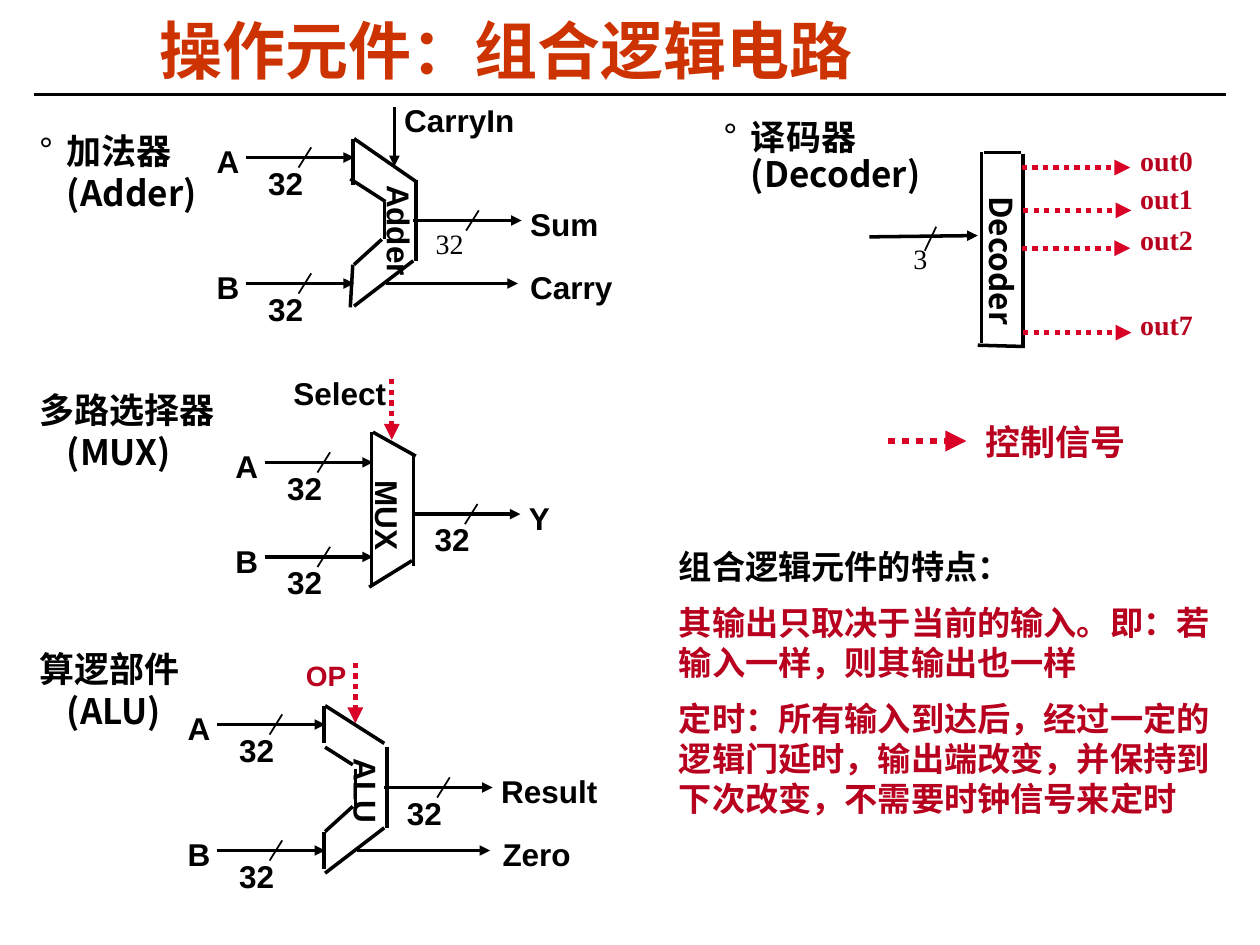
from lxml import etree
from pptx import Presentation
from pptx.dml.color import RGBColor
from pptx.enum.dml import MSO_LINE
from pptx.enum.shapes import MSO_CONNECTOR
from pptx.enum.text import MSO_ANCHOR, MSO_AUTO_SIZE, PP_ALIGN
from pptx.oxml.ns import qn
from pptx.util import Inches, Pt

BLACK = RGBColor(0x00, 0x00, 0x00)
ORANGE = RGBColor(0xCC, 0x33, 0x00)
RED = RGBColor(0xD9, 0x01, 0x25)
DARK_RED = RGBColor(0xB7, 0x01, 0x1F)
SANS, CJK, SERIF = "Arial", "Noto Sans CJK SC", "Times New Roman"

# Content
TITLE = "操作元件：组合逻辑电路"
ELEMENTS = [("加法器", "(Adder)"), ("多路选择器", "(MUX)"), ("算逻部件", "(ALU)")]
DECODER = ("译码器", "(Decoder)")
NOTES = [
    ([("组合逻辑元件的特点：", SANS)], BLACK),
    ([("其输出只取决于当前的输入。即：若输入一样，则其输出也一样", SANS)], DARK_RED),
    ([("定时：所有输入到达后，经过一定的逻辑门延时，输出端改变，并保持到", SANS),
      ("下次改变，不需要时钟信号来定时", SERIF)], DARK_RED),
]

# Each unit: outline segments, buses by arrow tip, plain output,
# control arrow (x, top, bottom), labels (text, x, y, width)
UNITS = [
    dict(
        outline=[(2.95, 3.43, 2.95, 4.65), (2.96, 3.43, 3.3, 3.62),
                 (2.93, 4.66, 3.27, 4.45), (3.28, 3.6, 3.28, 4.49)],
        inputs=[("A", 2.96, 3.67), ("B", 2.96, 4.42)],
        output=("Y", 4.13, 4.08, 0.36), bus_font=(SANS, 18, True),
        control=(3.11, 3.01, 3.49, RED, 3),
        control_label=("Select", 2.23, 2.92, 0.94, 18, BLACK),
        name=("MUX", 2.7, 3.89, 0.75)),
    dict(
        outline=[(2.57, 5.6, 2.57, 5.9), (2.58, 5.6, 3.05, 5.9),
                 (2.58, 5.93, 2.8, 6.07), (2.82, 6.1, 2.82, 6.4),
                 (3.07, 5.93, 3.07, 6.57), (2.58, 6.6, 2.8, 6.4),
                 (2.57, 6.6, 2.57, 6.9), (2.58, 6.93, 3.05, 6.57)],
        inputs=[("A", 2.58, 5.75), ("B", 2.58, 6.75)],
        output=("Result", 3.91, 6.25, 0.96), bus_font=(SANS, 18, True),
        flag=("Zero", 2.83, 3.89, 6.75, 0.74),
        control=(2.82, 5.26, 5.74, RED, 3),
        control_label=("OP", 2.33, 5.18, 0.77, 16, DARK_RED),
        name=("ALU", 2.55, 6.08, 0.71)),
    dict(
        outline=[(2.8, 1.1, 2.8, 1.47), (2.81, 1.1, 3.3, 1.44),
                 (2.78, 1.42, 3.06, 1.6), (3.05, 1.6, 3.05, 1.9),
                 (3.3, 1.43, 3.3, 2.07), (2.81, 2.1, 3.03, 1.9),
                 (2.8, 2.1, 2.78, 2.44), (2.81, 2.43, 3.28, 2.07)],
        inputs=[("A", 2.81, 1.25), ("B", 2.81, 2.25)],
        output=("Sum", 4.14, 1.75, 0.74), bus_font=(SERIF, 16, False),
        flag=("Carry", 3.06, 4.11, 2.25, 0.85),
        control=(3.13, 0.85, 1.32, BLACK, 2),
        control_label=("CarryIn", 3.11, 0.75, 1.15, 18, BLACK),
        name=("Adder", 2.71, 1.63, 0.92)),
]
DECODER_OUTLINE = [(7.79, 1.21, 7.79, 2.72), (7.81, 1.21, 8.1, 1.21),
                   (7.76, 2.74, 8.13, 2.75), (8.12, 1.22, 8.12, 2.76)]
# name, arrow tip x, arrow y, label y
DECODER_OUTPUTS = [("out0", 8.97, 1.33, 1.09), ("out1", 8.98, 1.67, 1.39),
                   ("out2", 8.97, 1.97, 1.72), ("out7", 8.98, 2.64, 2.39)]


def add_line(shapes, x1, y1, x2, y2, color=BLACK, width=2, arrow=False):
    """Straight line; red ones are dotted control signals."""
    c = shapes.add_connector(MSO_CONNECTOR.STRAIGHT, Inches(x1), Inches(y1),
                             Inches(x2), Inches(y2))
    c.line.color.rgb = color
    c.line.width = Pt(width)
    if color == RED:
        c.line.dash_style = MSO_LINE.ROUND_DOT
    if arrow:
        etree.SubElement(c.line._get_or_add_ln(), qn("a:tailEnd"), type="triangle")
    etree.SubElement(c._element.spPr, qn("a:effectLst"))


def add_run(p, text, font=SANS, size=18, color=BLACK, bold=True):
    r = p.add_run()
    r.text = text
    f = r.font
    f.name, f.size, f.bold = font, Pt(size), bold
    f.color.rgb = color
    latin = r._r.get_or_add_rPr().find(qn("a:latin"))
    ea = etree.Element(qn("a:ea"), typeface=CJK)
    latin.addnext(ea)


def set_frame(sp, inset_x=0.1, inset_y=0.05, wrap=True, anchor=MSO_ANCHOR.TOP):
    tf = sp.text_frame
    tf.auto_size = MSO_AUTO_SIZE.NONE
    tf.word_wrap = wrap
    tf.vertical_anchor = anchor
    tf.margin_left = tf.margin_right = Inches(inset_x)
    tf.margin_top = tf.margin_bottom = Inches(inset_y)
    return tf


def place(sp, x, y, w, h):
    sp.left, sp.top, sp.width, sp.height = map(Inches, (x, y, w, h))


def add_label(shapes, text, x, y, w, h=0.4, rotation=0, wrap=False, **font):
    sp = shapes.add_textbox(Inches(x), Inches(y), Inches(w), Inches(h))
    sp.rotation = rotation
    add_run(set_frame(sp, wrap=wrap).paragraphs[0], text, **font)


def add_bus(shapes, x, y, font=SANS, size=18, bold=True):
    """32-bit wire ending in an arrow at (x, y)."""
    add_line(shapes, x - 0.86, y, x, y, arrow=True)
    add_line(shapes, x - 0.34, y - 0.08, x - 0.44, y + 0.08, width=1)
    add_label(shapes, "32", x - 0.78, y, 0.48 if size == 18 else 0.42,
              font=font, size=size, bold=bold)


def add_element(p, lines, spacing, bullet):
    """Hanging list item of a Chinese name above an English one."""
    p.line_spacing, p.space_before = Pt(spacing), Pt(0)
    pPr = p._p.get_or_add_pPr()
    pPr.set("marL", str(Inches(0.22)))
    pPr.set("indent", str(-Inches(0.22)))
    if bullet:
        etree.SubElement(pPr, qn("a:buFont"), typeface=SANS)
        etree.SubElement(pPr, qn("a:buChar"), char="°")
    else:
        etree.SubElement(pPr, qn("a:buNone"))
    add_run(p, lines[0], CJK, 20)
    p.add_line_break()
    add_run(p, lines[1], CJK, 20)


prs = Presentation()
prs.slide_width, prs.slide_height = Inches(10), Inches(7.5)
s = prs.slides.add_slide(prs.slide_layouts[1])

# Title and rule
add_line(s.shapes, 0.27, 0.75, 9.73, 0.75, width=1.5)
title = s.shapes.title
place(title, 0.26, 0.14, 7.52, 0.58)
p = set_frame(title, 0.07, 0.03, anchor=MSO_ANCHOR.MIDDLE).paragraphs[0]
p.alignment, p.line_spacing = PP_ALIGN.CENTER, Pt(38)
add_run(p, TITLE, size=36, color=ORANGE)

# Element list
body = s.placeholders[1]
place(body, 0.24, 1, 1.87, 4.99)
tf = set_frame(body, 0.07, 0.03)
for i, lines in enumerate(ELEMENTS):
    p = tf.paragraphs[0] if i == 0 else tf.add_paragraph()
    add_element(p, lines, 24, bullet=i == 0)
    if i:
        p.space_before = Pt(100)

# MUX, ALU and adder
for unit in UNITS:
    g = s.shapes.add_group_shape().shapes
    for segment in unit["outline"]:
        add_line(g, *segment)
    for text, x, y in unit["inputs"]:
        add_bus(g, x, y)
        add_label(g, text, x - 1.19, y - 0.17, 0.38)
    text, x, y, w = unit["output"]
    add_bus(g, x, y, *unit["bus_font"])
    add_label(g, text, x - 0.03, y - 0.17, w)
    if "flag" in unit:
        text, x1, x2, y, w = unit["flag"]
        add_line(g, x1, y, x2, y, arrow=True)
        add_label(g, text, x2, y - 0.17, w)
    x, top, bottom, color, width = unit["control"]
    add_line(g, x, top, x, bottom, color, width, arrow=True)
    text, x, y, w, size, color = unit["control_label"]
    add_label(g, text, x, y, w, size=size, color=color, wrap=True)
    add_label(g, *unit["name"], rotation=90)

# Decoder
g = s.shapes.add_group_shape().shapes
for segment in DECODER_OUTLINE:
    add_line(g, *segment)
add_line(g, 6.9, 1.88, 7.76, 1.87, arrow=True)
add_line(g, 7.43, 1.8, 7.34, 1.99, width=1)
add_label(g, "3", 7.15, 1.87, 0.31, 0.36, font=SERIF, size=16, bold=False)
add_label(g, "Decoder", 7.22, 1.99, 1.46, rotation=90, wrap=True, font=CJK)
for text, x, y, label_y in DECODER_OUTPUTS:
    add_line(g, x - 0.86, y, x, y, RED, 3, arrow=True)
    add_label(g, text, 8.95, label_y, 0.62, 0.37, font=SERIF, size=16, color=DARK_RED)
sp = s.shapes.add_textbox(Inches(5.67), Inches(0.93), Inches(2.22), Inches(0.62))
add_element(set_frame(sp, 0.07, 0.03).paragraphs[0], DECODER, 21, bullet=True)

# Control signal legend
g = s.shapes.add_group_shape().shapes
add_line(g, 7.05, 3.5, 7.67, 3.5, RED, 4, arrow=True)
add_label(g, "控制信号", 7.72, 3.29, 1.52, 0.43, wrap=True, font=SERIF, size=20, color=DARK_RED)

# Notes
sp = s.shapes.add_textbox(Inches(5.29), Inches(4.28), Inches(4.44), Inches(2.31))
tf = set_frame(sp)
for i, (runs, color) in enumerate(NOTES):
    p = tf.paragraphs[0] if i == 0 else tf.add_paragraph()
    p.line_spacing, p.space_before = Pt(23), Pt(9 if i else 0)
    for text, font in runs:
        add_run(p, text, font, 19, color)

prs.save("out.pptx")
